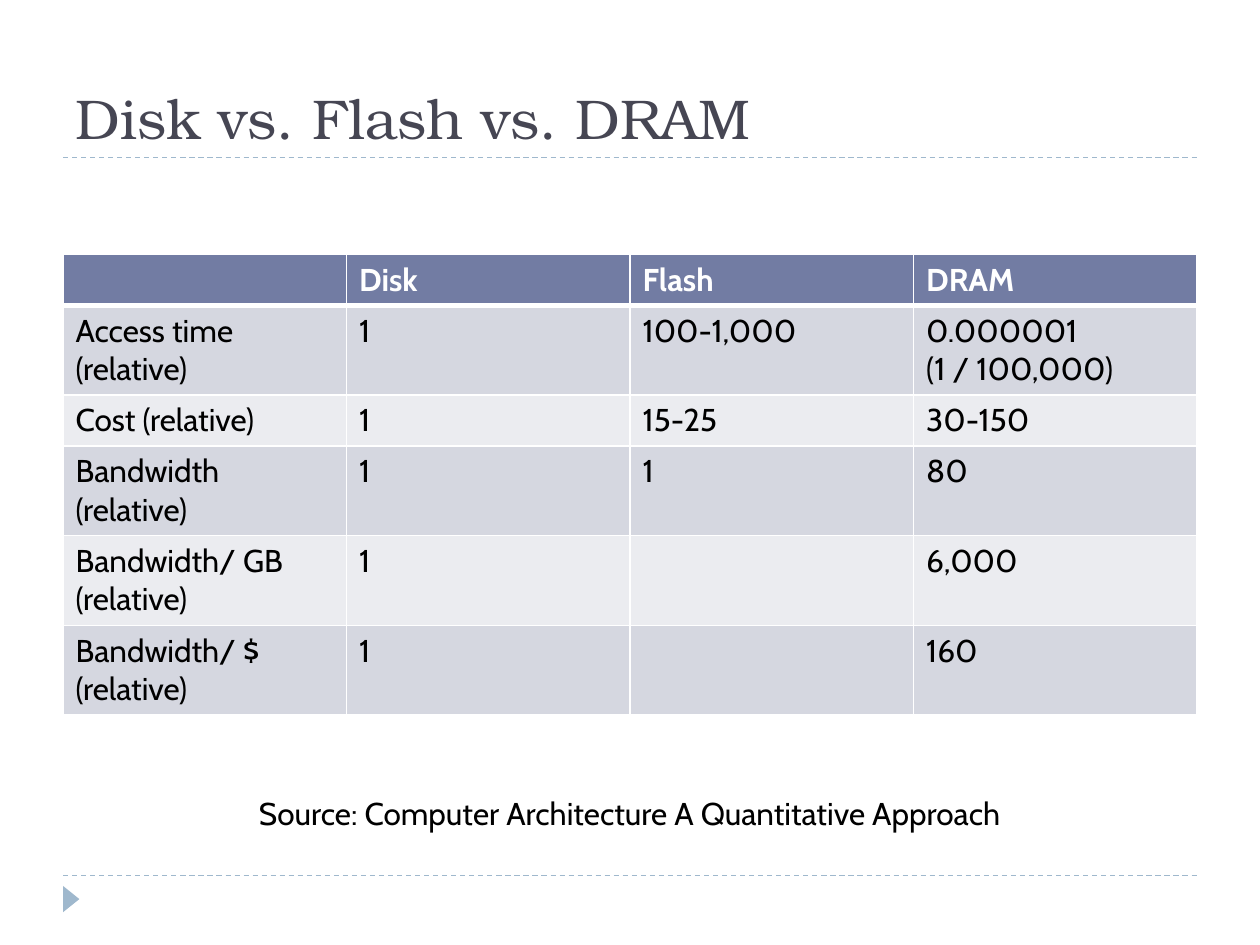
from lxml import etree
from pptx import Presentation
from pptx.dml.color import RGBColor
from pptx.enum import dml, shapes, text
from pptx.oxml import ns
from pptx.util import Cm, Pt

COLORS = {
    "title": "464653", "rule": "9FB8CD", "header": "727CA3",
    "odd": "D5D7E0", "even": "EBECF0", "white": "FFFFFF", "black": "000000",
}
TITLE_FONT = "TeX Gyre Bonum"
BODY_FONT = "Cabin"
ROWS = [
    ["", "Disk", "Flash", "DRAM"],
    ["Access time (relative)", "1", "100-1,000", "0.000001 \v(1 / 100,000)"],
    ["Cost (relative)", "1", "15-25", "30-150"],
    ["Bandwidth (relative)", "1", "1", "80"],
    ["Bandwidth/ GB (relative)", "1", "", "6,000"],
    ["Bandwidth/ $ (relative)", "1", "", "160"],
]


def color(name):
    return RGBColor.from_string(COLORS[name])


def format_runs(text_frame, font_name, size, color_name, bold=False):
    for paragraph in text_frame.paragraphs:
        for run in paragraph.runs:
            run.font.name = font_name
            run.font.size = Pt(size)
            run.font.bold = bold
            run.font.color.rgb = color(color_name)


def add_rule(slide, left, top, width):
    rule = slide.shapes.add_connector(
        shapes.MSO_CONNECTOR.STRAIGHT, Cm(left), Cm(top), Cm(left + width), Cm(top))
    rule.line.color.rgb = color("rule")
    rule.line.width = Pt(0.75)
    rule.line.dash_style = dml.MSO_LINE.DASH
    etree.SubElement(rule._element.spPr, ns.qn("a:effectLst"))


def add_title(slide, left, top, width, height):
    title = slide.shapes.title
    title.left, title.top, title.width, title.height = map(Cm, (left, top, width, height))
    text_frame = title.text_frame
    text_frame.text = "Disk vs. Flash vs. DRAM"
    text_frame.vertical_anchor = text.MSO_ANCHOR.BOTTOM
    text_frame.paragraphs[0].alignment = text.PP_ALIGN.LEFT
    format_runs(text_frame, TITLE_FONT, 32, "title")
    add_rule(slide, left, top + height, width)


def add_borders(cell, widths):
    properties = cell._tc.get_or_add_tcPr()
    for side, width in widths.items():
        line = etree.SubElement(properties, ns.qn(f"a:ln{side}"), w=str(Pt(width)))
        fill = etree.SubElement(line, ns.qn("a:solidFill"))
        etree.SubElement(fill, ns.qn("a:srgbClr"), val=COLORS["white"])


def add_comparison_table(slide, left, top, width, row_height):
    frame = slide.shapes.add_table(
        len(ROWS), len(ROWS[0]), Cm(left), Cm(top), Cm(width), Cm(row_height * len(ROWS)))
    for row_index, values in enumerate(ROWS):
        is_header = row_index == 0
        fill_name = "header" if is_header else ("even", "odd")[row_index % 2]
        widths = {"L": 1, "R": 1, "T": 3 if row_index == 1 else 1, "B": 3 if is_header else 1}
        for column_index, value in enumerate(values):
            cell = frame.table.cell(row_index, column_index)
            add_borders(cell, widths)
            cell.fill.solid()
            cell.fill.fore_color.rgb = color(fill_name)
            cell.text_frame.text = value
            format_runs(cell.text_frame, BODY_FONT, 18,
                        "white" if is_header else "black", is_header)


def add_source(slide, left, top, width, height):
    box = slide.shapes.add_textbox(Cm(left), Cm(top), Cm(width), Cm(height))
    text_frame = box.text_frame
    text_frame.word_wrap = True
    text_frame.text = "Source: Computer Architecture A Quantitative Approach"
    text_frame.paragraphs[0].alignment = text.PP_ALIGN.CENTER
    format_runs(text_frame, BODY_FONT, 18, "black")


def add_footer(slide, left, top, width):
    add_rule(slide, left, top, width)
    # Marker pointing right
    marker = slide.shapes.add_shape(
        shapes.MSO_SHAPE.ISOSCELES_TRIANGLE,
        Cm(left - 0.1), Cm(top + 0.31), Cm(0.53), Cm(0.33))
    marker.rotation = 90
    marker.shadow.inherit = False
    marker.fill.solid()
    marker.fill.fore_color.rgb = color("rule")
    marker.line.fill.background()


def main():
    presentation = Presentation()
    presentation.slide_width, presentation.slide_height = Cm(25.4), Cm(19.05)
    slide = presentation.slides.add_slide(presentation.slide_layouts[5])
    margin, width = 1.27, 22.86
    add_footer(slide, margin, 17.65, width)
    add_title(slide, margin, 0.43, width, 2.74)
    add_comparison_table(slide, margin, 5.13, width, 1.03)
    add_source(slide, 1.48, 15.88, 22.43, 1.03)
    presentation.save("out.pptx")


if __name__ == "__main__":
    main()
